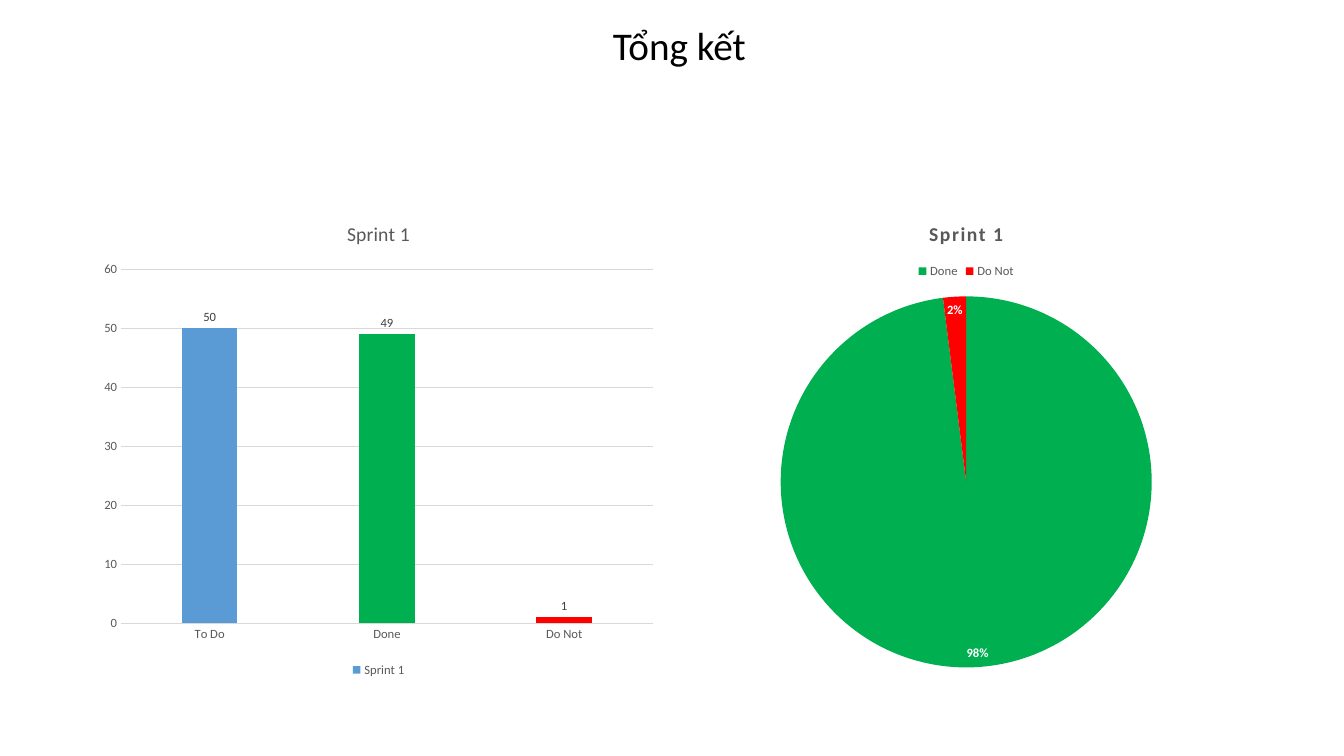
from pptx import Presentation
from pptx.chart.data import CategoryChartData
from pptx.dml.color import RGBColor
from pptx.enum.chart import XL_CHART_TYPE, XL_LABEL_POSITION, XL_LEGEND_POSITION, XL_TICK_MARK
from pptx.enum.text import MSO_AUTO_SIZE, PP_ALIGN
from pptx.util import Cm, Pt

COLUMNS, PIE = XL_CHART_TYPE.COLUMN_CLUSTERED, XL_CHART_TYPE.PIE
OUTSIDE_END, INSIDE_END = XL_LABEL_POSITION.OUTSIDE_END, XL_LABEL_POSITION.INSIDE_END
LEGEND_TOP, LEGEND_BOTTOM = XL_LEGEND_POSITION.TOP, XL_LEGEND_POSITION.BOTTOM
NO_TICK = XL_TICK_MARK.NONE
GROW = MSO_AUTO_SIZE.SHAPE_TO_FIT_TEXT
CENTER = PP_ALIGN.CENTER

BLACK = RGBColor(0x00, 0x00, 0x00)
WHITE = RGBColor(0xFF, 0xFF, 0xFF)
DARK_GREY = RGBColor(0x40, 0x40, 0x40)
GREY = RGBColor(0x59, 0x59, 0x59)
LIGHT_GREY = RGBColor(0xD9, 0xD9, 0xD9)
BLUE = RGBColor(0x5B, 0x9B, 0xD5)
GREEN = RGBColor(0x00, 0xB0, 0x50)
RED = RGBColor(0xFF, 0x00, 0x00)

FONT = "Calibri"
SPRINT = "Sprint 1"


def style_font(font, size, color, bold=False):
    """Set the typeface, size, colour and weight of a font."""
    font.name = FONT
    font.size = Pt(size)
    font.color.rgb = color
    font.bold = bold


def style_line(line):
    """Make a line thin and light grey."""
    line.color.rgb = LIGHT_GREY
    line.width = Pt(0.75)


def add_heading(page, box, text):
    """Add the centred slide heading in the given box."""
    frame = page.shapes.add_textbox(*box).text_frame
    frame.word_wrap = True
    frame.auto_size = GROW
    para = frame.paragraphs[0]
    para.text = text
    para.alignment = CENTER
    style_font(para.font, 28, BLACK)


def add_sprint_chart(page, box, kind, values, legend_position, bold_title):
    """Add a one-series chart with its title and legend, and return it."""
    data = CategoryChartData()
    data.categories = list(values)
    data.add_series(SPRINT, list(values.values()))
    chart = page.shapes.add_chart(kind, *box, data).chart
    style_font(chart.font, 10, BLACK)
    chart.has_title = True
    title = chart.chart_title
    title.include_in_layout = False
    para = title.text_frame.paragraphs[0]
    para.text = SPRINT
    style_font(para.font, 14, GREY, bold_title)
    chart.has_legend = True
    chart.legend.position = legend_position
    chart.legend.include_in_layout = False
    style_font(chart.legend.font, 9, GREY)
    return chart


def color_points(series, colors):
    """Fill single points of a series, given by index."""
    for index, color in colors.items():
        fill = series.points[index].format.fill
        fill.solid()
        fill.fore_color.rgb = color


def add_column_chart(page, box):
    """Add the column chart of task counts."""
    values = {"To Do": 50, "Done": 49, "Do Not": 1}
    chart = add_sprint_chart(page, box, COLUMNS, values, LEGEND_BOTTOM, False)
    plot = chart.plots[0]
    plot.vary_by_categories = False
    plot.gap_width = 219
    plot.overlap = -27
    series = plot.series[0]
    series.format.fill.solid()
    series.format.fill.fore_color.rgb = BLUE
    color_points(series, {1: GREEN, 2: RED})
    labels = series.data_labels
    labels.show_value = True
    labels.position = OUTSIDE_END
    style_font(labels.font, 9, DARK_GREY)
    for axis in (chart.category_axis, chart.value_axis):
        axis.major_tick_mark = axis.minor_tick_mark = NO_TICK
        style_font(axis.tick_labels.font, 9, GREY)
    style_line(chart.category_axis.format.line)
    chart.value_axis.format.line.fill.background()
    style_line(chart.value_axis.major_gridlines.format.line)


def add_pie_chart(page, box):
    """Add the pie chart of task shares."""
    chart = add_sprint_chart(page, box, PIE, {"Done": 98, "Do Not": 2}, LEGEND_TOP, True)
    span = chart.chart_title.text_frame.paragraphs[0].runs[0]
    span.font._element.set("spc", "100")
    plot = chart.plots[0]
    plot.vary_by_categories = True
    series = plot.series[0]
    color_points(series, {0: GREEN, 1: RED})
    labels = series.data_labels
    labels.show_value = False
    labels.show_percentage = True
    labels.number_format = "0%"
    labels.number_format_is_linked = False
    labels.position = INSIDE_END
    style_font(labels.font, 9, WHITE, True)


def main():
    """Build the summary slide and save the deck."""
    deck = Presentation()
    deck.slide_width, deck.slide_height = Cm(33.87), Cm(19.05)
    page = deck.slides.add_slide(deck.slide_layouts[6])
    top, width, height = Cm(5.08), Cm(14.4), Cm(12.09)
    add_column_chart(page, (Cm(2.34), top, width, height))
    add_heading(page, (Cm(10.72), Cm(0.41), Cm(12.8), Cm(1.45)), "Tổng kết")
    add_pie_chart(page, (Cm(17.15), top, width, height))
    deck.save("out.pptx")


if __name__ == "__main__":
    main()
